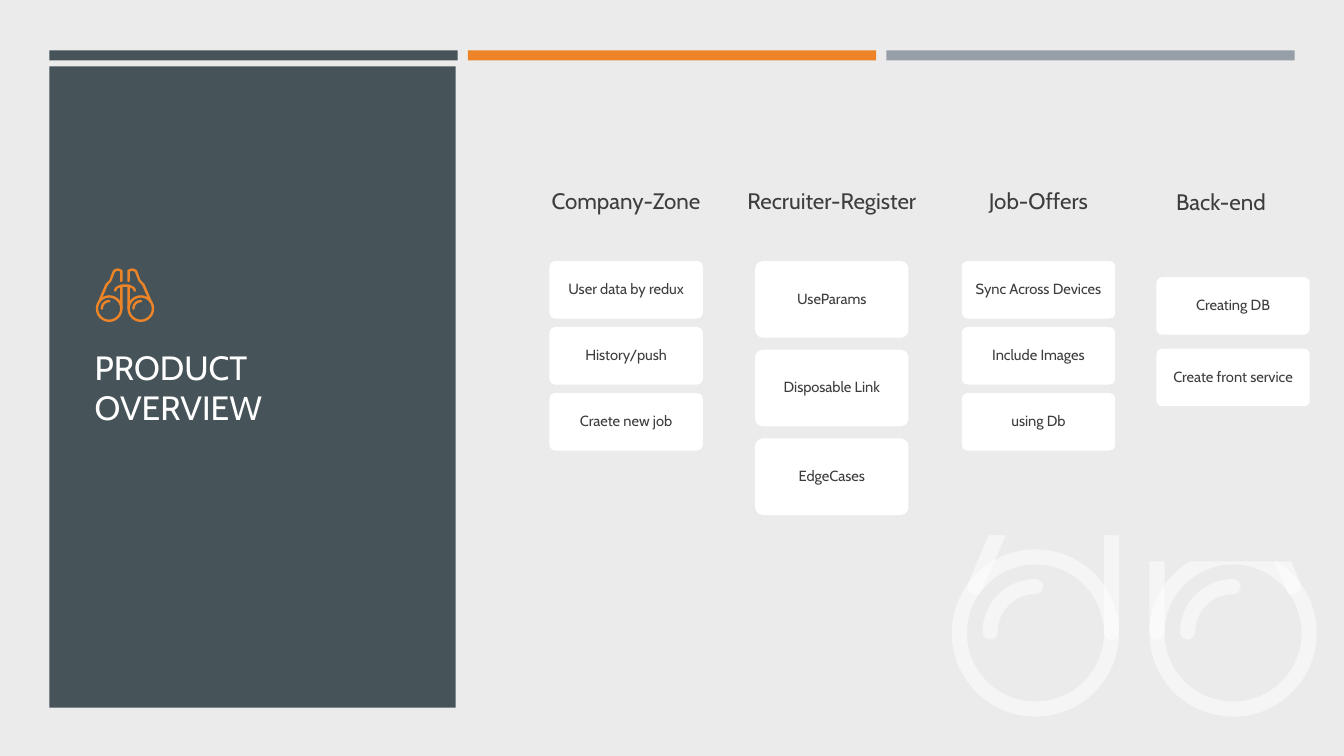
from math import cos, pi, sin

from lxml.etree import SubElement
from pptx import Presentation
from pptx.dml.color import RGBColor
from pptx.enum.shapes import MSO_SHAPE
from pptx.enum.text import MSO_ANCHOR, PP_ALIGN
from pptx.oxml.ns import qn
from pptx.util import Inches, Pt

THEME = {
    "font": "Cabin",
    "ground": "EBEBEB",
    "slate": "465359",
    "orange": "ED8428",
    "grey": "969FA7",
    "white": "FFFFFF",
    "ink": "3D3D3D",
    "title": 24,
    "heading": 16,
    "card": 10.5,
}


def paint(shape, colour, alpha=100):
    shape.shadow.inherit = False
    shape.fill.solid()
    shape.fill.fore_color.rgb = RGBColor.from_string(THEME[colour])
    shape.line.fill.background()
    if alpha < 100:
        tint = shape.fill._xPr.find(qn("a:solidFill"))[0]
        SubElement(tint, qn("a:alpha"), val=str(alpha * 1000))


def write(box, text, size, colour, align, margin, spacing):
    frame = box.text_frame
    frame.word_wrap = True
    frame.vertical_anchor = MSO_ANCHOR.MIDDLE
    frame.margin_left = frame.margin_right = Inches(margin)
    frame.margin_top = frame.margin_bottom = Inches(margin)
    para = frame.paragraphs[0]
    para.alignment = align
    para.line_spacing = spacing
    span = para.add_run()
    span.text = text
    span.font.name = THEME["font"]
    span.font.size = Pt(THEME[size])
    span.font.color.rgb = RGBColor.from_string(THEME[colour])


deck = Presentation()
deck.slide_width = Inches(13.33)
deck.slide_height = Inches(7.5)
page = deck.slides.add_slide(deck.slide_layouts[6])
page.background.fill.solid()
page.background.fill.fore_color.rgb = RGBColor.from_string(THEME["ground"])
shapes = page.shapes

for column, colour in enumerate(("slate", "orange", "grey")):
    bar = shapes.add_shape(MSO_SHAPE.RECTANGLE, Inches(0.49 + 4.15 * column),
                           Inches(0.5), Inches(4.05), Inches(0.1))
    paint(bar, colour)

side_panel = shapes.add_shape(MSO_SHAPE.RECTANGLE, Inches(0.49), Inches(0.66),
                              Inches(4.03), Inches(6.36))
paint(side_panel, "slate")
title = shapes.add_textbox(Inches(0.84), Inches(2.9), Inches(3.32), Inches(1.88))
write(title, "PRODUCT OVERVIEW", "title", "white", PP_ALIGN.LEFT, 0.1, 1)

icon_width = 3.62
barrel = [
    (0.24, 2.13), (0.2, 2.12), (0.16, 2.08), (0.16, 2.02), (0.61, 0.97),
    (0.64, 0.95), (0.85, 0.73), (1.06, 0.16), (1.09, 0.12), (1.23, 0.04),
    (1.36, 0.02), (1.49, 0.04), (1.64, 0.12), (1.66, 0.18), (1.66, 0.78),
    (1.64, 0.84), (1.59, 0.86), (1.53, 0.84), (1.51, 0.78), (1.51, 0.21),
    (1.36, 0.17), (1.2, 0.22), (0.97, 0.81), (0.75, 1.05), (0.3, 2.08),
    (0.28, 2.12),
]
outlines = [barrel, [(icon_width - x, y) for x, y in barrel]]

thickness = 0.15
steps = 16
for middle_x, middle_y, radius_x, radius_y, start, end in (
    (0.83, 2.5, 0.45, 0.45, pi, 1.5 * pi),
    (2.79, 2.5, 0.45, 0.45, pi, 1.5 * pi),
    (1.81, 1.38, 0.6, 0.3, pi, 2 * pi),
):
    half = thickness / 2
    sweep = [start + (end - start) * step / steps for step in range(steps + 1)]
    band = [(middle_x + (radius_x + half) * cos(angle),
             middle_y + (radius_y + half) * sin(angle)) for angle in sweep]
    for base, inner in ((end, sweep[::-1]), (start + pi, [])):
        tip = end if inner else start
        tip_x = middle_x + radius_x * cos(tip)
        tip_y = middle_y + radius_y * sin(tip)
        band += [(tip_x + half * cos(base + pi * step / steps),
                  tip_y + half * sin(base + pi * step / steps))
                 for step in range(1, steps)]
        band += [(middle_x + (radius_x - half) * cos(angle),
                  middle_y + (radius_y - half) * sin(angle)) for angle in inner]
    outlines.append(band)

backdrop_outlines = outlines[:-1]
for left, top, scale, colour, alpha, drawn in (
    (9.44, 3.77, 1, "white", 50, backdrop_outlines),
    (0.95, 2.66, 0.16, "orange", 100, outlines),
):
    for lens_x, tube_x in ((0, 1.51), (1.96, 1.96)):
        lens = shapes.add_shape(
            MSO_SHAPE.DONUT, Inches(left + lens_x * scale),
            Inches(top + 1.68 * scale), Inches(1.66 * scale), Inches(1.66 * scale))
        lens.adjustments[0] = thickness / 1.66
        tube = shapes.add_shape(
            MSO_SHAPE.ROUNDED_RECTANGLE, Inches(left + tube_x * scale),
            Inches(top + 1.02 * scale), Inches(thickness * scale), Inches(1.56 * scale))
        tube.adjustments[0] = 0.5
        paint(lens, colour, alpha)
        paint(tube, colour, alpha)
    for outline in drawn:
        points = [(x * 1000, y * 1000) for x, y in outline]
        builder = shapes.build_freeform(*points[0], scale=914.4 * scale)
        builder.add_line_segments(points[1:], close=True)
        paint(builder.convert_to_shape(Inches(left), Inches(top)), colour, alpha)

columns = (
    ("Company-Zone", (5.26, 1.43), (5.26, 1.43), (5.45, 2.59), 0.57, 0.655,
     ("User data by redux", "History/push", "Craete new job")),
    ("Recruiter-Register", (7.3, 1.43), (7.3, 1.43), (7.49, 2.59), 0.76, 0.88,
     ("UseParams", "Disposable Link", "EdgeCases")),
    ("Job-Offers", (9.35, 1.43), (9.35, 1.43), (9.54, 2.59), 0.57, 0.655,
     ("Sync Across Devices", "Include Images", "using Db")),
    ("Back-end", (11.12, 1.69), (11.16, 1.44), (11.47, 2.75), 0.57, 0.71,
     ("Creating DB", "Create front service")),
)
for heading, panel_at, heading_at, card_at, height, pitch, features in columns:
    panel = shapes.add_shape(MSO_SHAPE.ROUNDED_RECTANGLE, Inches(panel_at[0]),
                             Inches(panel_at[1]), Inches(1.9), Inches(3.88))
    panel.adjustments[0] = 0.1
    paint(panel, "ground")
    label = shapes.add_textbox(Inches(heading_at[0]), Inches(heading_at[1]),
                               Inches(1.9), Inches(1.16))
    write(label, heading, "heading", "ink", PP_ALIGN.CENTER, 0.07, 0.9)
    for row, feature in enumerate(features):
        card = shapes.add_shape(
            MSO_SHAPE.ROUNDED_RECTANGLE, Inches(card_at[0]),
            Inches(card_at[1] + row * pitch), Inches(1.52), Inches(height))
        card.adjustments[0] = 0.1
        paint(card, "white")
        write(card, feature, "card", "ink", PP_ALIGN.CENTER, 0.03, 0.9)

deck.save("out.pptx")
